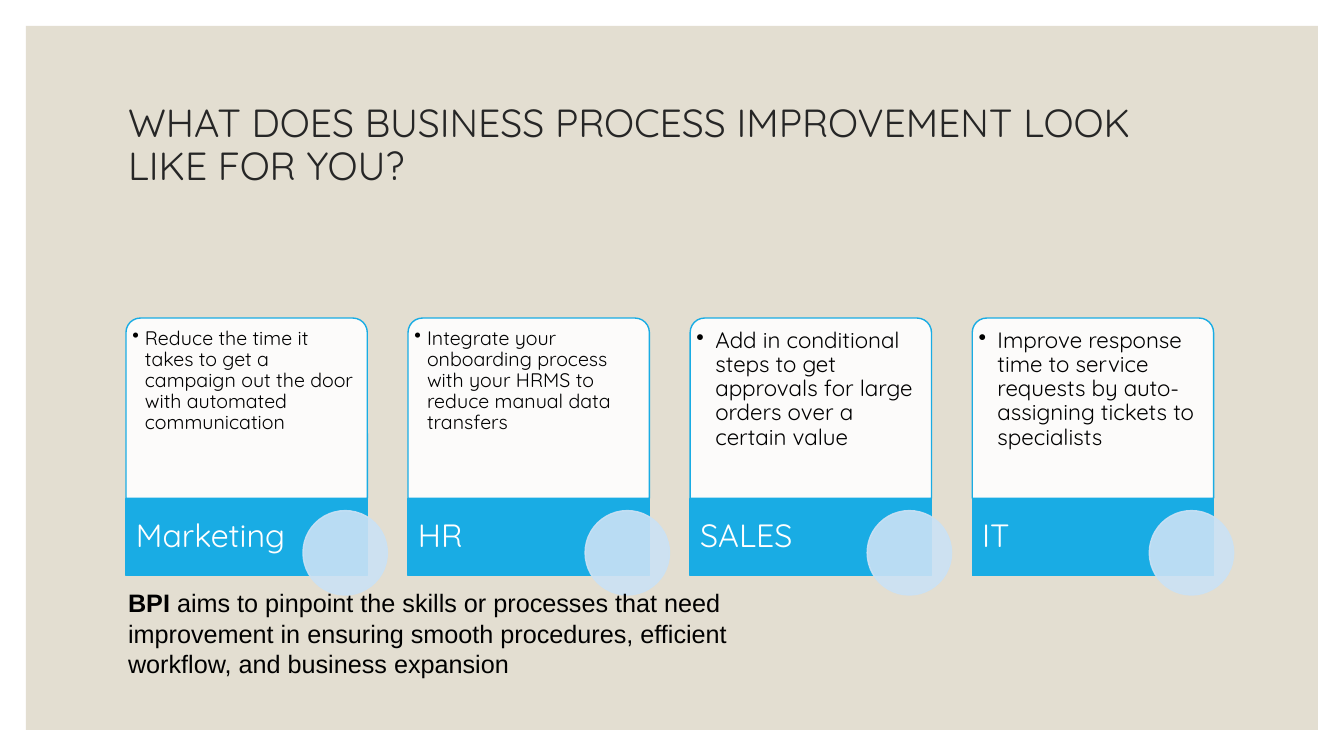
from lxml import etree
from pptx import Presentation
from pptx.dml.color import RGBColor
from pptx.enum.shapes import MSO_SHAPE
from pptx.enum.text import MSO_ANCHOR
from pptx.oxml.ns import qn
from pptx.util import Pt

RECTANGLE = MSO_SHAPE.RECTANGLE
ROUND_TOP = MSO_SHAPE.ROUND_2_SAME_RECTANGLE
OVAL = MSO_SHAPE.OVAL
TOP, MIDDLE = MSO_ANCHOR.TOP, MSO_ANCHOR.MIDDLE

# Content
TITLE = "WHAT DOES BUSINESS PROCESS IMPROVEMENT LOOK LIKE FOR YOU?"
# Department, benefit, text size, bullet indent, top inset
CARDS = [
    ("Marketing", "Reduce the time it takes to get a campaign out the door "
     "with automated communication", 14, 9, 4.2),
    ("HR", "Integrate your onboarding process with your HRMS to reduce "
     "manual data transfers", 14, 9, 4.2),
    ("SALES", "Add in conditional steps to get approvals for large orders "
     "over a certain value", 16, 13.5, 4.8),
    ("IT", "Improve response time to service requests by auto-assigning "
     "tickets to specialists", 16, 13.5, 4.8),
]
SUMMARY = [
    ("BPI", True),
    (" aims to pinpoint the skills or processes that need improvement in "
     "ensuring smooth procedures, efficient workflow, and business expansion", False),
]

COLORS = {"panel": "E3DED1", "title": "262626", "accent": "19ACE4",
          "circle": "CBE2F5", "white": "FFFFFF", "black": "000000"}
HEADING_FONT, BODY_FONT = "Quicksand", "Arial"

# Layout, in points
SLIDE_WIDTH, SLIDE_HEIGHT = 960, 540
MARGIN = 18.6
CARD_LEFT, CARD_TOP, CARD_WIDTH, CARD_HEIGHT = 90, 227.2, 172.4, 128.7
CARD_PITCH = 201.5
BAR_HEIGHT, LABEL_WIDTH = 55.3, 121.4
CIRCLE_SIZE, CIRCLE_X, CIRCLE_Y = 60.3, 126.4, 8.8
TEXT_PAD = 3.1

presentation = Presentation()
presentation.slide_width = Pt(SLIDE_WIDTH)
presentation.slide_height = Pt(SLIDE_HEIGHT)
slide = presentation.slides.add_slide(presentation.slide_layouts[6])


def color(name):
    return RGBColor.from_string(COLORS[name])


def add_box(kind, box, fill, line=None, opacity=None, line_opacity=None):
    shape = slide.shapes.add_shape(kind, *map(Pt, box))
    shape.shadow.inherit = False
    shape.fill.solid()
    shape.fill.fore_color.rgb = color(fill)
    if line:
        shape.line.color.rgb = color(line)
        shape.line.width = Pt(1)
    else:
        shape.line.fill.background()
    properties = shape.fill._xPr
    for place, value in (("a:solidFill", opacity), ("a:ln/a:solidFill", line_opacity)):
        if value:
            steps = [qn(step) for step in place.split("/")] + [qn("a:srgbClr")]
            target = properties.find("/".join(steps))
            etree.SubElement(target, qn("a:alpha"), val=str(value * 1000))
    return shape


def add_text(box, text, size, ink, font=HEADING_FONT, anchor=TOP,
             insets=(7.2, 3.6, 7.2, 3.6), spacing=None, indent=None):
    """Add a text box; text is a string or a list of (text, bold) pairs."""
    frame = slide.shapes.add_textbox(*map(Pt, box)).text_frame
    frame.word_wrap = True
    frame.vertical_anchor = anchor
    (frame.margin_left, frame.margin_top,
     frame.margin_right, frame.margin_bottom) = map(Pt, insets)
    paragraph = frame.paragraphs[0]
    if spacing:
        paragraph.line_spacing = spacing
    if indent:
        properties = paragraph._p.get_or_add_pPr()
        properties.set("marL", str(Pt(indent)))
        properties.set("indent", str(-Pt(indent)))
        bullet_color = etree.SubElement(properties, qn("a:buClr"))
        etree.SubElement(bullet_color, qn("a:srgbClr"), val=COLORS["black"])
        etree.SubElement(properties, qn("a:buChar"), char="•")
    for words, bold in [(text, False)] if isinstance(text, str) else text:
        run = paragraph.add_run()
        run.text = words
        run.font.name = font
        run.font.size = Pt(size)
        run.font.bold = bold
        run.font.color.rgb = color(ink)


# Background panel and title
add_box(RECTANGLE, (MARGIN, MARGIN, SLIDE_WIDTH - 2 * MARGIN,
                    SLIDE_HEIGHT - 2 * MARGIN), "panel")
add_text((84.4, 50.4, 792, 108), TITLE, 28, "title", anchor=MIDDLE, spacing=0.9)

# Department cards
bar_top = CARD_TOP + CARD_HEIGHT
for index, (department, benefit, size, indent, inset_top) in enumerate(CARDS):
    left = CARD_LEFT + index * CARD_PITCH
    card = add_box(ROUND_TOP, (left, CARD_TOP, CARD_WIDTH, CARD_HEIGHT),
                   "white", "accent", opacity=90)
    card.adjustments[0] = 0.08
    card.adjustments[1] = 0
    add_text((left + TEXT_PAD, CARD_TOP + TEXT_PAD,
              CARD_WIDTH - 2 * TEXT_PAD, CARD_HEIGHT - TEXT_PAD),
             benefit, size, "black", insets=(1.4, inset_top, 1.4, 1.4),
             spacing=0.9, indent=indent)
    add_box(RECTANGLE, (left, bar_top, CARD_WIDTH, BAR_HEIGHT), "accent", "accent")
    add_text((left, bar_top, LABEL_WIDTH, BAR_HEIGHT), department, 23, "white",
             anchor=MIDDLE, insets=(7.2, 0, 2.2, 0), spacing=0.9)
    add_box(OVAL, (left + CIRCLE_X, bar_top + CIRCLE_Y, CIRCLE_SIZE, CIRCLE_SIZE),
            "circle", "circle", opacity=90, line_opacity=90)

# Summary
add_text((84.4, 416.2, 480, 72.7), SUMMARY, 18, "black", font=BODY_FONT)

presentation.save("out.pptx")
